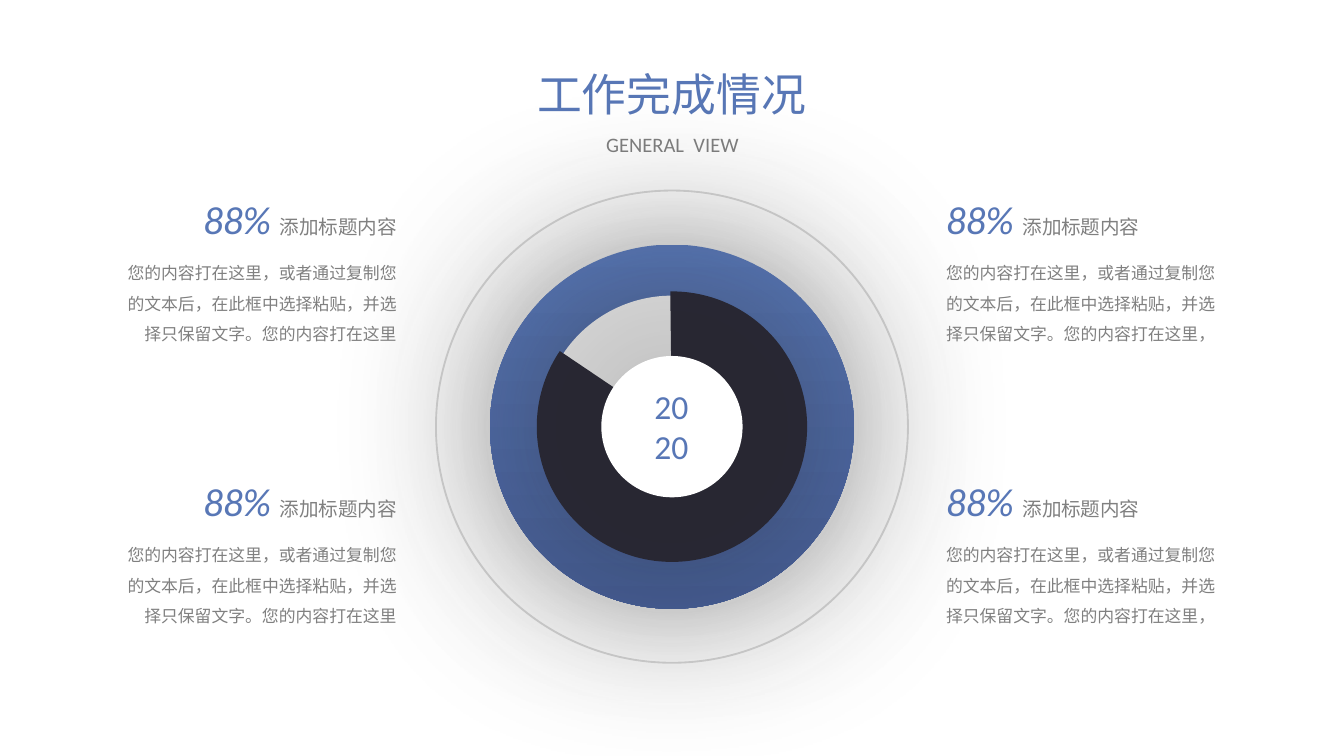
from pptx import Presentation
from pptx.dml.color import RGBColor
from pptx.enum import shapes, text
from pptx.oxml import parse_xml
from pptx.oxml.ns import nsdecls
from pptx.util import Cm, Pt

# Content
TITLE, SUBTITLE = "工作完成情况", "GENERAL  VIEW"
YEAR = ["20", "20"]
PERCENT, HEADING = "88% ", "添加标题内容"
BODY = "您的内容打在这里，或者通过复制您的文本后，在此框中选择粘贴，并选择只保留文字。您的内容打在这里"
FONT = "Calibri"
BLUES = ("5877B6", "465E96")
GREY, PALE, DARK, WHITE, SHADE = "808080", "D9D9D9", "292834", "FFFFFF", "262626"
LEFT, CENTER, RIGHT = text.PP_ALIGN.LEFT, text.PP_ALIGN.CENTER, text.PP_ALIGN.RIGHT
OVAL, PIE = shapes.MSO_SHAPE.OVAL, shapes.MSO_SHAPE.PIE

# Dial, back to front: kind, diameter, fill, shadow
DIAL_X, DIAL_Y = 12.7, 8.06
DIAL = [
    (OVAL, 8.92, None, False),
    (OVAL, 6.88, BLUES, True),
    (OVAL, 4.95, PALE, True),
    (PIE, 5.11, DARK, False),
    (OVAL, 2.67, WHITE, True),
]
PIE_ANGLES = (161.575, 128.379)

# Text columns: heading left, body left, alignment, ending of the body
COLUMNS = [(17.63, 17.63, LEFT, "，"), (2.59, 1.9, RIGHT, "")]
ROWS = [3.66, 8.99]


def paint(fill, color):
    """Fill with one hex colour, or top to bottom with a pair of them."""
    if isinstance(color, str):
        fill.solid()
        fill.fore_color.rgb = RGBColor.from_string(color)
        return
    fill.gradient()
    fill.gradient_angle = 270
    for stop, value, position in zip(fill.gradient_stops, color, (0, 1)):
        stop.color.rgb = RGBColor.from_string(value)
        stop.position = position


def style(font, size, color, italic=None):
    font.name, font.size, font.italic = FONT, Pt(size), italic
    paint(font.fill, color)


def add_text(page, place, lines, size, color, align, spacing=None):
    box = page.shapes.add_textbox(*map(Cm, place))
    frame = box.text_frame
    frame.word_wrap = True
    frame.text = "\n".join(lines)
    for para in frame.paragraphs:
        para.alignment, para.line_spacing = align, spacing
        style(para.font, size, color)
    return frame


def add_glow(shape):
    shape._element.spPr.append(parse_xml(
        f'<a:effectLst {nsdecls("a")}><a:outerShdw blurRad="{Pt(100)}" dist="0" dir="0" '
        f'algn="ctr" rotWithShape="0"><a:srgbClr val="{SHADE}"><a:alpha val="40000"/>'
        '</a:srgbClr></a:outerShdw></a:effectLst>'))


def add_dial(page):
    group = page.shapes.add_group_shape()
    for kind, size, color, glow in DIAL:
        shape = group.shapes.add_shape(
            kind, Cm(DIAL_X - size / 2), Cm(DIAL_Y - size / 2), Cm(size), Cm(size))
        if color:
            paint(shape.fill, color)
            shape.line.fill.background()
        else:
            shape.fill.background()
            paint(shape.line.fill, PALE)
            shape.line.width = Pt(1)
        if kind == PIE:
            shape.adjustments[0], shape.adjustments[1] = PIE_ANGLES
        if glow:
            add_glow(shape)
        else:
            shape.shadow.inherit = False


def add_item(page, head_x, body_x, top, align, ending):
    frame = add_text(page, (head_x, top, 5.16, 0.89), [PERCENT], 21, BLUES, align, 0.9)
    para = frame.paragraphs[0]
    para.space_before = Pt(16)
    style(para.runs[0].font, 21, BLUES, True)
    span = para.add_run()
    span.text = HEADING
    style(span.font, 10.5, GREY, False)
    add_text(page, (body_x, top + 0.99, 5.84, 1.98), [BODY + ending], 9, GREY, align, 1.5)


def main():
    deck = Presentation()
    deck.slide_width, deck.slide_height = Cm(25.4), Cm(14.28)
    page = deck.slides.add_slide(deck.slide_layouts[5])

    # Title and subtitle
    title = page.shapes.title
    title.left, title.top, title.width, title.height = map(Cm, (9.4, 1.14, 6.58, 1.27))
    title.text_frame.text = TITLE
    title.text_frame.auto_size = text.MSO_AUTO_SIZE.NONE
    para = title.text_frame.paragraphs[0]
    para.alignment = CENTER
    style(para.font, 24, BLUES)
    add_text(page, (10.13, 2.36, 5.16, 0.74), [SUBTITLE], 11, GREY, CENTER)

    # Dial with the year in its middle
    add_dial(page)
    add_text(page, (9.4, 7.16, 6.58, 1.8), YEAR, 18, BLUES, CENTER)

    # Four items around the dial
    for head_x, body_x, align, ending in COLUMNS:
        for top in ROWS:
            add_item(page, head_x, body_x, top, align, ending)

    deck.save("out.pptx")


if __name__ == "__main__":
    main()
